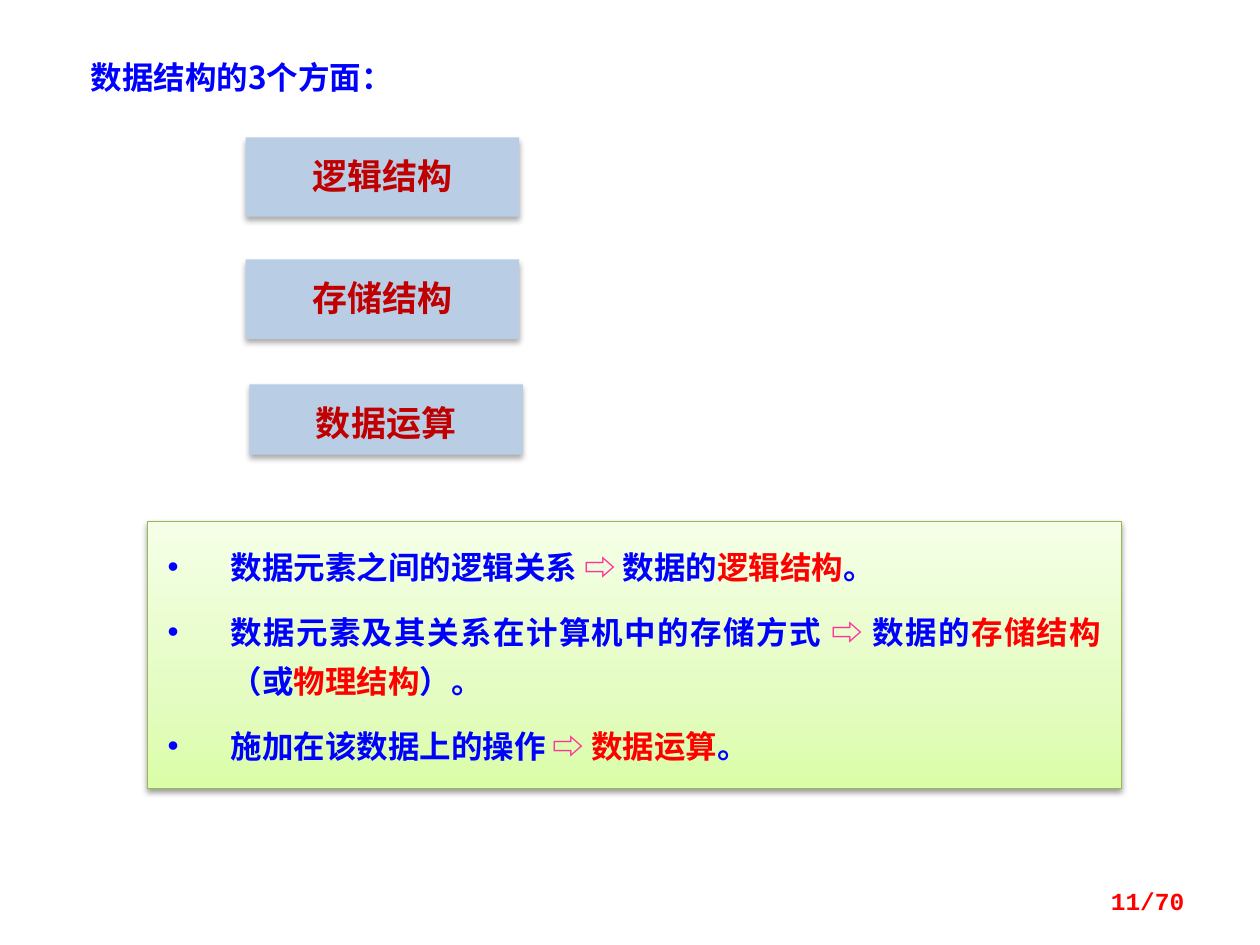
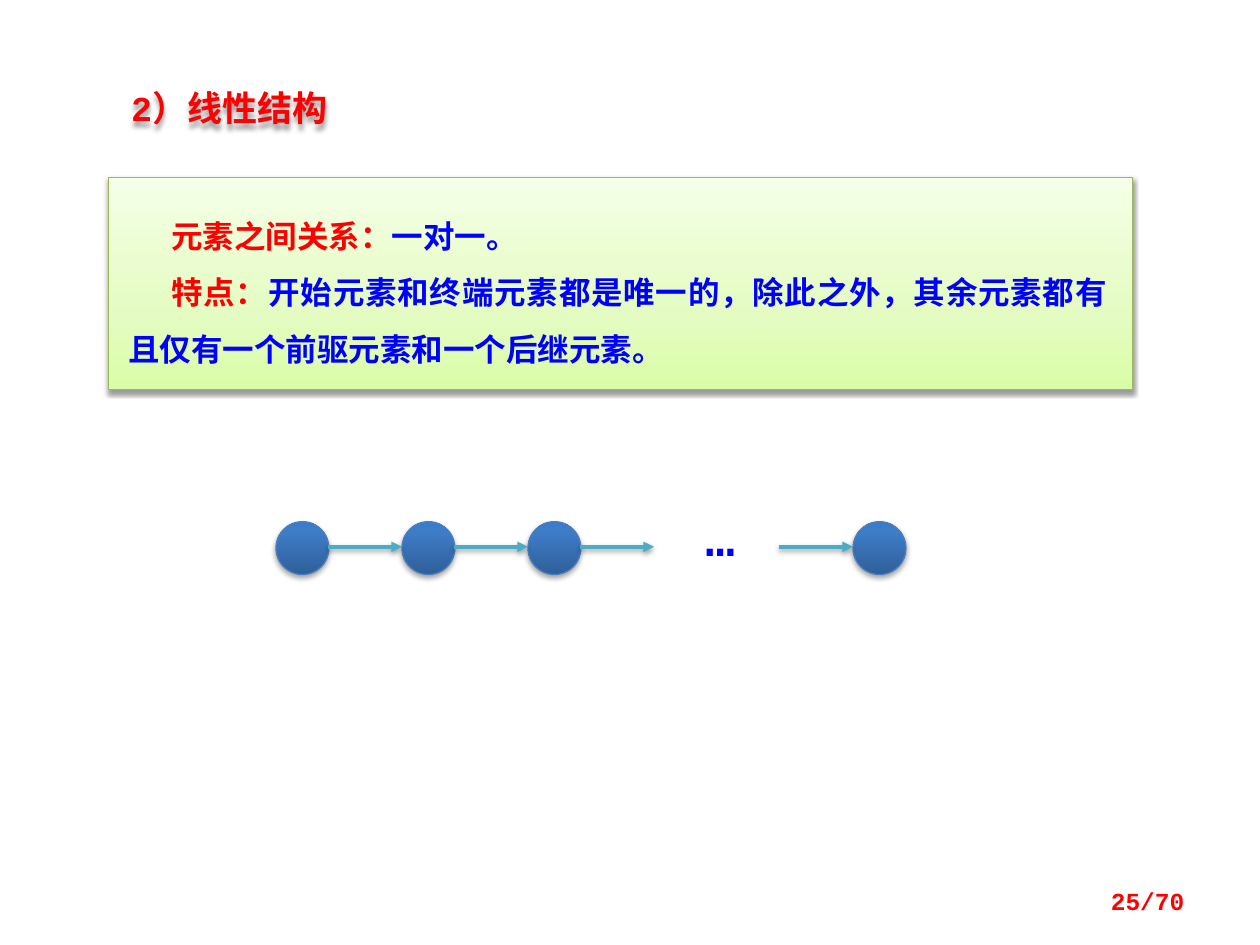
"""Build two slides on the aspects of data structures and on linear structure."""
from lxml.etree import SubElement
from pptx import Presentation
from pptx.dml.color import RGBColor
from pptx.enum.shapes import MSO_CONNECTOR as Link, MSO_SHAPE as Form
from pptx.enum.text import MSO_ANCHOR as Anchor, MSO_AUTO_SIZE as Fit, PP_ALIGN as Align
from pptx.oxml.ns import qn
from pptx.util import Inches, Pt

THEME = {
    "blue": "0000FF", "red": "FF0000", "dark_red": "C00000", "pink": "FF3399",
    "aspect": "B9CDE5", "panel_edge": "98B955", "node_edge": "4B7EBC", "arrow": "4BACC6",
    "panel": [(0, "DAFDA7"), (35, "E4FCC2"), (100, "F5FFE7")],
    "node": [(0, "2F5F99"), (80, "3D7CC7"), (100, "3A7CCB")],
    "sans": "Noto Sans CJK SC", "mono": "Courier New",
    "body_size": 18, "heading_size": 20, "page_size": 14, "dots_size": 28,
}
SOFT_SHADOW = (38, 3.1, 1.6)
NODE_SHADOW = (35, 3.1, 1.8)
ASPECT_SHADOW = (32, 3.5, 2.2)
TITLE_SHADOW = (40, 3, 3)

ASPECTS_TITLE = "数据结构的3个方面："
ASPECTS = [
    ("逻辑结构", (1.95, 1.09, 2.17, 0.63)),
    ("存储结构", (1.95, 2.06, 2.17, 0.63)),
    ("数据运算", (1.98, 3.05, 2.17, 0.56)),
]
DEFINITIONS = [
    [("数据元素之间的逻辑关系 ", "blue"), ("⇨ ", "pink"), ("数据的", "blue"),
     ("逻辑结构", "red"), ("。", "blue")],
    [("数据元素及其关系在计算机中的存储方式 ", "blue"), ("⇨ ", "pink"), ("数据的", "blue"),
     ("存储结构", "red"), ("（或", "blue"), ("物理结构", "red"), ("）。", "blue")],
    [("施加在该数据上的操作 ", "blue"), ("⇨ ", "pink"), ("数据运算", "red"), ("。", "blue")],
]
LINEAR_TITLE = "2）线性结构"
LINEAR_FACTS = [
    [("元素之间关系：", "red"), ("一对一。", "blue")],
    [("特点：", "red"),
     ("开始元素和终端元素都是唯一的，除此之外，其余元素都有且仅有一个前驱元素和一个后继元素。", "blue")],
]
CHAIN = {"left": 2.19, "top": 4.14, "size": 0.42, "step": 1, "count": 3, "last": 6.77,
         "reach": 0.59, "arrow_y": 4.34}


def color(key):
    return RGBColor.from_string(THEME[key])


def assign(target, values):
    for name, value in values.items():
        setattr(target, name, value)


def place(shape, box):
    assign(shape, dict(zip(("left", "top", "width", "height"), map(Inches, box))))


def add_shadow(shape, opacity, blur, distance):
    effects = SubElement(shape._element.spPr, qn("a:effectLst"))
    outer = SubElement(effects, qn("a:outerShdw"), blurRad=str(Pt(blur)), dist=str(Pt(distance)),
                       dir="5400000", algn="ctr", rotWithShape="0")
    black = SubElement(outer, qn("a:srgbClr"), val="000000")
    SubElement(black, qn("a:alpha"), val=str(opacity * 1000))


def shade(shape, stops, edge, shadow):
    shape.fill.gradient()
    shape.fill.gradient_angle = 90
    stop_list = shape._element.spPr.find(qn("a:gradFill")).find(qn("a:gsLst"))
    stop_list.clear()
    for position, value in THEME[stops]:
        stop = SubElement(stop_list, qn("a:gs"), pos=str(position * 1000))
        SubElement(stop, qn("a:srgbClr"), val=value)
    shape.line.color.rgb = color(edge)
    shape.line.width = Pt(0.75)
    add_shadow(shape, *shadow)


def write(shape, paragraphs, size, font="sans", bold=True, insets=(0.1, 0.05, 0.1, 0.05),
          anchor=Anchor.TOP, align=Align.LEFT, spacing=1.0, gap=0, margin=0, indent=0, bullet=None):
    frame = shape.text_frame
    sides = ("margin_left", "margin_top", "margin_right", "margin_bottom")
    assign(frame, {"word_wrap": True, "auto_size": Fit.NONE, "vertical_anchor": anchor,
                   **dict(zip(sides, map(Inches, insets)))})
    for index, runs in enumerate(paragraphs):
        paragraph = frame.add_paragraph() if index else frame.paragraphs[0]
        assign(paragraph, {"alignment": align, "line_spacing": spacing,
                           "space_before": Pt(gap if index else 0), "space_after": Pt(0)})
        properties = paragraph._p.get_or_add_pPr()
        properties.set("marL", str(Inches(margin)))
        properties.set("indent", str(Inches(indent)))
        if bullet:
            SubElement(properties, qn("a:buFont"), typeface="Arial")
            SubElement(properties, qn("a:buChar"), char=bullet)
        else:
            SubElement(properties, qn("a:buNone"))
        for text, tint in runs:
            run = paragraph.add_run()
            run.text = text
            run.font.color.rgb = color(tint)
            assign(run.font, {"size": Pt(THEME[size]), "bold": bold, "name": THEME[font]})
            SubElement(run._r.get_or_add_rPr(), qn("a:ea"), typeface=THEME["sans"])


def start_slide(deck, title, title_box, page, title_format):
    slide = deck.slides.add_slide(deck.slide_layouts[1])
    heading, body = slide.placeholders
    place(heading, title_box)
    write(heading, [[title]], spacing=0.8, **title_format)
    number = slide.shapes.add_textbox(*map(Inches, (7.17, 6.95, 2.33, 0.4)))
    write(number, [[(page, "red")]], "page_size", "mono", anchor=Anchor.MIDDLE, align=Align.RIGHT)
    return slide, heading, body


def fill_panel(body, box, paragraphs, **layout):
    place(body, box)
    shade(body, "panel", "panel_edge", SOFT_SHADOW)
    write(body, paragraphs, "body_size", align=Align.JUSTIFY, **layout)


def build_aspects(deck):
    slide, _, body = start_slide(deck, (ASPECTS_TITLE, "blue"), (0.62, 0.47, 3.44, 0.34),
                                 "11/70", {"size": "body_size"})
    for name, box in ASPECTS:
        aspect = slide.shapes.add_shape(Form.RECTANGLE, *map(Inches, box))
        aspect.fill.solid()
        aspect.fill.fore_color.rgb = color("aspect")
        aspect.line.fill.background()
        add_shadow(aspect, *ASPECT_SHADOW)
        write(aspect, [[(name, "dark_red")]], "heading_size", insets=(0.1, 0.2, 0.1, 0.05),
              align=Align.CENTER, spacing=0.8)
    fill_panel(body, (1.17, 4.14, 7.73, 2.12), DEFINITIONS, insets=(0.16, 0.12, 0.16, 0.12),
               spacing=1.3, gap=9, margin=0.5, indent=-0.5, bullet="•")


def draw_chain(slide):
    shapes = slide.shapes.add_group_shape().shapes
    size, reach, y = CHAIN["size"], CHAIN["reach"], CHAIN["arrow_y"]
    lefts = [CHAIN["left"] + CHAIN["step"] * index for index in range(CHAIN["count"])]
    for left in lefts + [CHAIN["last"]]:
        node = shapes.add_shape(Form.OVAL, *map(Inches, (left, CHAIN["top"], size, size)))
        shade(node, "node", "node_edge", NODE_SHADOW)
    for tip in [left + CHAIN["step"] for left in lefts] + [CHAIN["last"]]:
        arrow = shapes.add_connector(Link.STRAIGHT, *map(Inches, (tip - reach, y, tip, y)))
        arrow.line.color.rgb = color("arrow")
        arrow.line.width = Pt(2)
        SubElement(arrow.line._get_or_add_ln(), qn("a:tailEnd"), type="triangle")
        add_shadow(arrow, *SOFT_SHADOW)
    dots = shapes.add_textbox(*map(Inches, (5.5, 3.98, 0.75, 0.57)))
    write(dots, [[("…", "blue")]], "dots_size", "mono")


def build_linear(deck):
    slide, heading, body = start_slide(deck, (LINEAR_TITLE, "red"), (0.94, 0.7, 2.03, 0.37),
                                       "25/70", {"size": "heading_size", "font": "mono"})
    add_shadow(heading, *TITLE_SHADOW)
    fill_panel(body, (0.86, 1.41, 8.13, 1.68), LINEAR_FACTS, insets=(0.16, 0.16, 0.2, 0.16),
               spacing=1.5, indent=0.34)
    draw_chain(slide)


def main():
    deck = Presentation()
    assign(deck, {"slide_width": Inches(10), "slide_height": Inches(7.5)})
    build_aspects(deck)
    build_linear(deck)
    deck.save("out.pptx")


if __name__ == "__main__":
    main()
